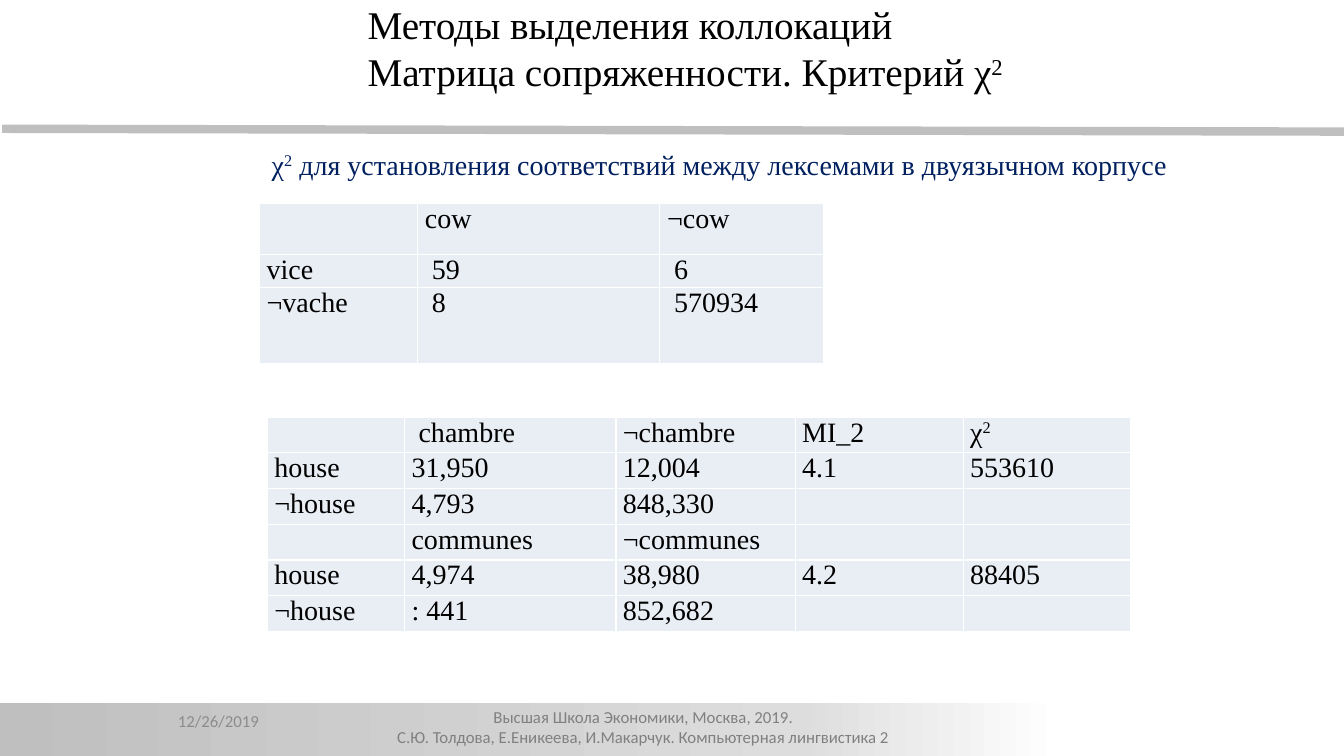
import copy
import pptx
import pptx.dml.color
import pptx.enum.shapes
import pptx.enum.text
import pptx.oxml
import pptx.util

Pt = pptx.util.Pt
RGB = pptx.dml.color.RGBColor
ALIGN = pptx.enum.text.PP_ALIGN
ANCHOR = pptx.enum.text.MSO_ANCHOR

BLACK = RGB(0x00, 0x00, 0x00)
NAVY = RGB(0x00, 0x20, 0x60)
SILVER = RGB(0xBF, 0xBF, 0xBF)
PALE = RGB(0xDD, 0xDD, 0xDD)
WHITE = RGB(0xFF, 0xFF, 0xFF)
GRAY = RGB(0x80, 0x80, 0x80)
ASH = RGB(0x8C, 0x8C, 0x8C)
CELL = RGB(0xE9, 0xED, 0xF4)

SERIF = "Times New Roman"
SANS = "Calibri"

COWS = [
    ["", "cow", "¬cow"],
    ["vice", " 59", " 6"],
    ["¬vache", " 8", " 570934"],
]
ROOMS = [
    ["", " chambre", "¬chambre", "MI_2", "χ^2"],
    ["house", "31,950", "12,004", "4.1", "553610"],
    ["¬house", "4,793", "848,330", "", ""],
    ["", "communes", "¬communes", "", ""],
    ["house", "4,974", "38,980", "4.2", "88405"],
    ["¬house", ": 441", "852,682", "", ""],
]


class Page:
    def __init__(self, slide):
        self.slide = slide
        self.shapes = slide.shapes

    def label(self, para, text, size, font, color, align=ALIGN.LEFT):
        para.alignment = align
        para.font.size = Pt(size)
        para.font.name = font
        para.font.color.rgb = color
        for index, part in enumerate(text.split("^")):
            if part:
                run = para.add_run()
                run.text = part
                if index % 2:
                    run._r.get_or_add_rPr().set("baseline", "30000")

    def text(self, box, lines, size, font, color, align=ALIGN.LEFT, anchor=ANCHOR.TOP):
        frame = self.shapes.add_textbox(*map(Pt, box)).text_frame
        frame.word_wrap = True
        frame.vertical_anchor = anchor
        for index, line in enumerate(lines):
            para = frame.add_paragraph() if index else frame.paragraphs[0]
            self.label(para, line, size, font, color, align)

    def line(self, start, end, color, width):
        kind = pptx.enum.shapes.MSO_CONNECTOR.STRAIGHT
        rule = self.shapes.add_connector(kind, *map(Pt, start + end))
        rule.line.color.rgb = color
        rule.line.width = Pt(width)
        rule._element.spPr.append(pptx.oxml.parse_xml(
            '<a:effectLst xmlns:a="http://schemas.openxmlformats.org/drawingml/2006/main"/>'))

    def band(self, box, stops):
        kind = pptx.enum.shapes.MSO_SHAPE.RECTANGLE
        shape = self.shapes.add_shape(kind, *map(Pt, box))
        shape.shadow.inherit = False
        shape.line.fill.background()
        shape.fill.gradient()
        shape.fill.gradient_angle = 0
        first = shape.fill.gradient_stops[0]._gs
        first.addnext(copy.deepcopy(first))
        for stop, (place, color) in zip(shape.fill.gradient_stops, stops):
            stop.position = place
            stop.color.rgb = color

    def table(self, left, top, widths, heights, rows, inset):
        box = map(Pt, (left, top, sum(widths), sum(heights)))
        grid = self.shapes.add_table(len(rows), len(widths), *box).table
        grid.first_row = False
        grid.horz_banding = False
        for column, width in zip(grid.columns, widths):
            column.width = Pt(width)
        for row, height, texts in zip(grid.rows, heights, rows):
            row.height = Pt(height)
            for cell, text in zip(row.cells, texts):
                cell.fill.solid()
                cell.fill.fore_color.rgb = CELL
                cell.margin_left = cell.margin_right = Pt(inset)
                cell.margin_top = cell.margin_bottom = 0
                self.label(cell.text_frame.paragraphs[0], text, 20, SERIF, BLACK)


def main():
    deck = pptx.Presentation()
    deck.slide_width, deck.slide_height = Pt(960), Pt(540)
    page = Page(deck.slides.add_slide(deck.slide_layouts[6]))
    page.line((1.5, 92), (961, 94), SILVER, 6)
    page.band((-1, 502, 760, 41), [(0, SILVER), (0.75, PALE), (1, WHITE)])
    page.text((183, 501, 553, 32), [
        "Высшая Школа Экономики, Москва, 2019.",
        "С.Ю. Толдова, Е.Еникеева, И.Макарчук. Компьютерная лингвистика 2",
    ], 12, SANS, GRAY, ALIGN.CENTER)
    page.table(185, 145.5, [113, 173, 117], [36, 24, 54], COWS, 5.5)
    page.text((187, 101.5, 661, 32),
              ["χ^2^ для установления соответствий между лексемами в двуязычном корпусе"],
              20, SERIF, NAVY)
    page.table(191, 298, [98, 151, 128, 120, 120], [25.5] * 6, ROOMS, 5)
    page.text((120, 500.5, 168, 29), ["12/26/2019"], 12, SANS, ASH, anchor=ANCHOR.MIDDLE)
    page.text((255.5, -3, 554, 75), [
        "Методы выделения коллокаций",
        "Матрица сопряженности. Критерий χ^2",
    ], 28, SERIF, BLACK)
    deck.save("out.pptx")


if __name__ == "__main__":
    main()
